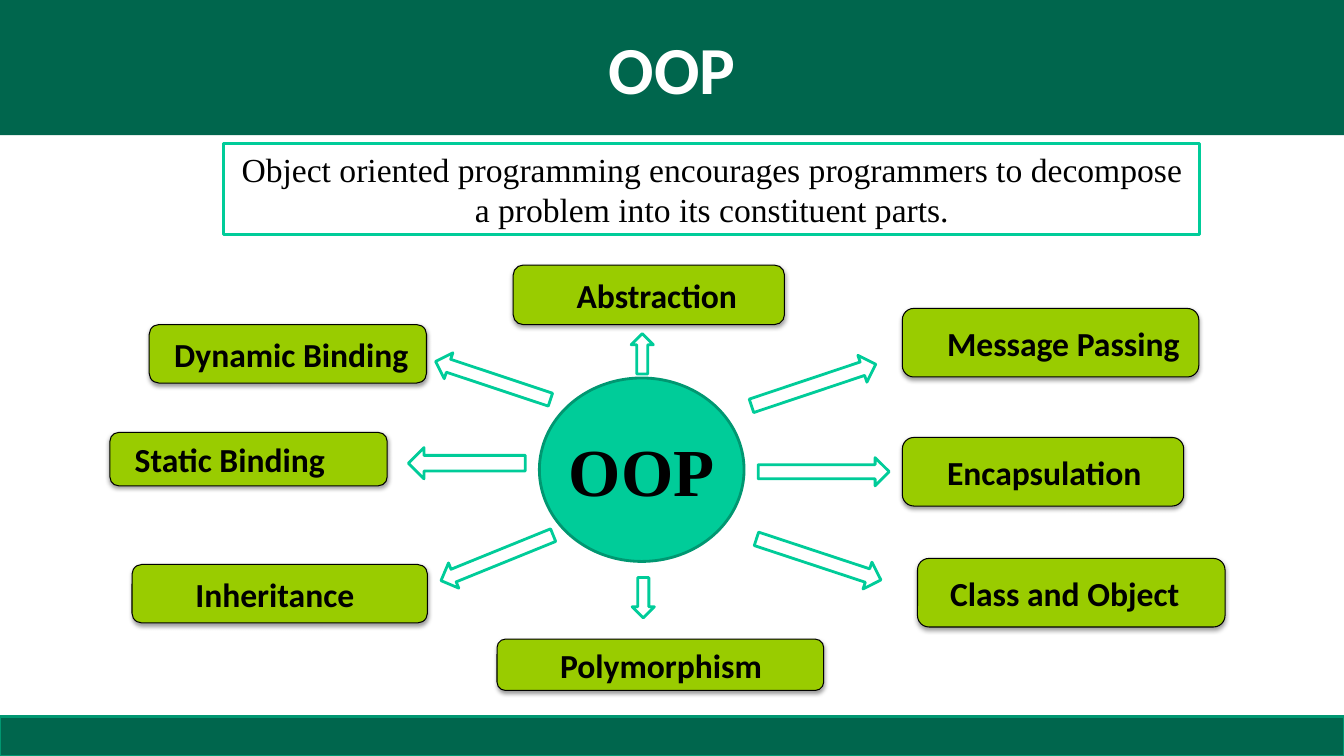
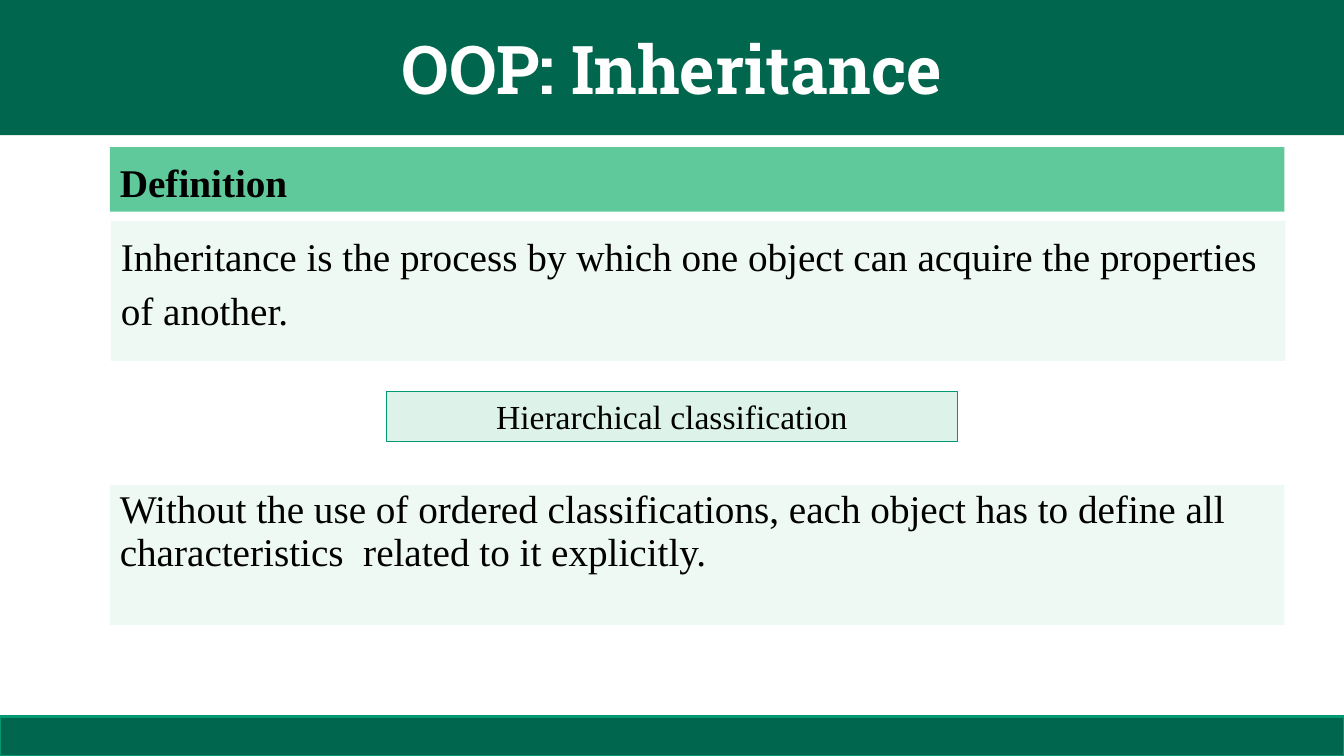
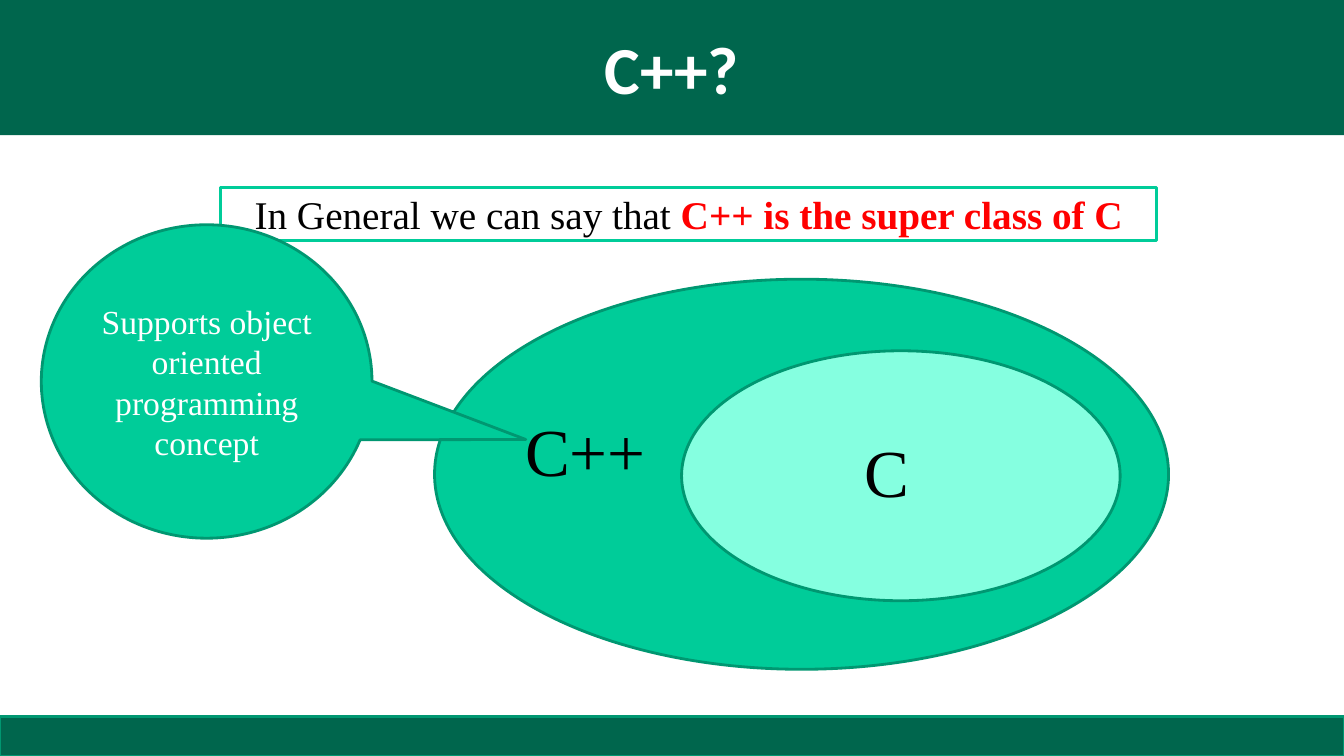
"""Build three slides on object oriented programming and C++."""
from lxml.etree import SubElement as Sub
from pptx import Presentation
from pptx.dml.color import RGBColor
from pptx.enum.shapes import MSO_SHAPE as Kind
from pptx.enum.text import MSO_ANCHOR as Anchor, MSO_AUTO_SIZE as Fit, PP_ALIGN as Align
from pptx.oxml.ns import qn
from pptx.util import Inches, Pt

SERIF, SANS, SLAB = "Times New Roman", "Calibri", "Roboto Slab"
DARK, EDGE, MINT, PALE = "00664D", "009771", "00CC99", "85FFE0"
LIME, HEAD, BODY, NOTE = "99CC00", "60C99C", "EEF9F4", "DDF3EA"
WHITE, BLACK, RED = "FFFFFF", "000000", "FF0000"

TITLES = [("OOP", SANS), ("OOP: Inheritance", SLAB), ("C++?", SANS)]
BAND = (0, 0, 13.33, 1.34)
FOOT = (0, 7.11, 13.33, 0.39)

INTRO = ("Object oriented programming encourages programmers to decompose "
         "a problem into its constituent parts.")
TOPICS = [
    ("Encapsulation", (8.95, 4.34, 2.79, 0.68), 0.31),
    ("Abstraction", (5.09, 2.63, 2.69, 0.59), 0.5),
    ("Polymorphism", (4.93, 6.34, 3.24, 0.51), 0.5),
    ("Inheritance", (1.31, 5.6, 2.93, 0.58), 0.5),
    ("Class and Object", (9.1, 5.54, 3.05, 0.68), 0.19),
    ("Dynamic Binding", (1.48, 3.22, 2.75, 0.58), 0.12),
    ("Message Passing", (8.95, 3.06, 2.94, 0.68), 0.31),
    ("Static Binding", (1.09, 4.29, 2.75, 0.53), 0.12),
]
ARROWS = [
    ((7.52, 4.54, 1.3, 0.28), 0),
    ((6.17, 3.4, 0.4, 0.22), 270),
    ((4.33, 5.4, 1.2, 0.27), 157.9),
    ((6.18, 5.82, 0.4, 0.22), 90),
    ((7.47, 5.41, 1.3, 0.28), 18.3),
    ((4.29, 3.64, 1.2, 0.27), 198.4),
    ((7.42, 3.68, 1.3, 0.28), 341.5),
    ((4.05, 4.44, 1.16, 0.31), 180),
]

PANELS = [
    ("Definition", (1.09, 1.46, 11.65, 0.64), HEAD, None,
     {"size": 28, "bold": True},
     {"line_spacing": 1.14, "space_before": Pt(10)}),
    ("Inheritance is the process by which one object can acquire "
     "the properties of another.",
     (1.1, 2.19, 11.65, 1.39), BODY, None,
     {"size": 28}, {"line_spacing": 1.14}),
    ("Hierarchical classification", (3.83, 3.88, 5.67, 0.5), NOTE,
     ("009973", 0.75), {"size": 24},
     {"alignment": Align.CENTER, "space_after": Pt(6)}),
    ("Without the use of ordered classifications, each object has to "
     "define all characteristics  related to it explicitly.",
     (1.09, 4.81, 11.65, 1.39), BODY, None,
     {"size": 28}, {"line_spacing": 0.9, "space_before": Pt(10)}),
]

CLAIM = [("In General we can say that ", {}),
         ("C++ is the super class of C", {"color": RED, "bold": True})]
SETS = [
    ("C++", (4.31, 2.77, 7.28, 3.87), MINT, (5.11, 4.01, 1.66, 0.91), Align.LEFT),
    ("C", (6.76, 3.48, 4.35, 2.48), PALE, (8.3, 4.22, 0.99, 0.91), Align.CENTER),
]
BUBBLE = "Supports object oriented programming concept"


def rgb(code):
    """Turn a hex string into a colour."""
    return RGBColor.from_string(code)


def apply(item, looks):
    """Set each attribute named in a dict."""
    for name, value in looks.items():
        setattr(item, name, value)


def paint(shape, fill, line=None):
    """Give a shape its fill and its outline."""
    shape.fill.solid()
    shape.fill.fore_color.rgb = rgb(fill)
    if line:
        shape.line.color.rgb = rgb(line[0])
        shape.line.width = Pt(line[1])
    else:
        shape.line.fill.background()


def draw(slide, kind, box, fill, line=None):
    """Add a flat preset shape."""
    shape = slide.shapes.add_shape(kind, *map(Inches, box))
    shape.shadow.inherit = False
    paint(shape, fill, line)
    return shape


def write(shape, runs, look, para=None, frame=None):
    """Fill a shape with one paragraph of styled runs."""
    text = shape.text_frame
    apply(text, {"word_wrap": True, "auto_size": Fit.NONE,
                 "vertical_anchor": Anchor.MIDDLE, **(frame or {})})
    line = text.paragraphs[0]
    apply(line, {"alignment": Align.CENTER, **(para or {})})
    for words, extra in [(runs, {})] if isinstance(runs, str) else runs:
        run = line.add_run()
        run.text = words
        font = {"name": SERIF, "color": BLACK, "bold": False, **look, **extra}
        run.font.color.rgb = rgb(font.pop("color"))
        font["size"] = Pt(font["size"])
        apply(run.font, font)


def shade(shape):
    """Add a soft shadow below a shape."""
    effects = shape.element.spPr.find(qn("a:effectLst"))
    outer = Sub(effects, qn("a:outerShdw"), blurRad="40000", dist="20000",
                dir="5400000", rotWithShape="0")
    color = Sub(outer, qn("a:srgbClr"), val=BLACK)
    Sub(color, qn("a:alpha"), val="38000")


def start(deck, title, font):
    """Add a slide with its title band and foot band."""
    slide = deck.slides.add_slide(deck.slide_layouts[5])
    head = slide.shapes.title
    apply(head, dict(zip(("left", "top", "width", "height"), map(Inches, BAND))))
    paint(head, DARK)
    write(head, title, {"size": 48, "name": font, "color": WHITE, "bold": True})
    draw(slide, Kind.RECTANGLE, FOOT, DARK, (EDGE, 2))
    return slide


def wheel(slide):
    """Draw the hub with its topics and arrows."""
    intro = draw(slide, Kind.RECTANGLE, (2.22, 1.42, 9.68, 0.91), WHITE, (MINT, 2))
    write(intro, INTRO, {"size": 24})
    hub = draw(slide, Kind.OVAL, (5.35, 3.75, 2.03, 1.82), MINT, (EDGE, 2))
    write(hub, "OOP", {"size": 48, "bold": True}, frame={"word_wrap": False})
    for name, box, indent in TOPICS:
        topic = draw(slide, Kind.ROUNDED_RECTANGLE, box, LIME, (BLACK, 0.75))
        shade(topic)
        write(topic, name, {"size": 24, "name": SANS, "bold": True},
              {"alignment": Align.LEFT}, {"margin_left": Inches(0.1 + indent)})
    for box, angle in ARROWS:
        draw(slide, Kind.RIGHT_ARROW, box, WHITE, (MINT, 2)).rotation = angle


def panels(slide):
    """Draw the stacked text panels."""
    for words, box, fill, line, look, para in PANELS:
        panel = draw(slide, Kind.RECTANGLE, box, fill, line)
        write(panel, words, look, {"alignment": Align.LEFT, **para},
              {"vertical_anchor": Anchor.TOP})


def nest(slide):
    """Draw the nested sets and the callout."""
    claim = draw(slide, Kind.RECTANGLE, (2.19, 1.86, 9.28, 0.53), WHITE, (MINT, 2))
    write(claim, CLAIM, {"size": 28})
    for name, oval, fill, box, align in SETS:
        draw(slide, Kind.OVAL, oval, fill, (EDGE, 2))
        label = slide.shapes.add_textbox(*map(Inches, box))
        write(label, name, {"size": 48}, {"alignment": align},
              {"vertical_anchor": Anchor.TOP})
    bubble = draw(slide, Kind.OVAL_CALLOUT, (0.41, 2.23, 3.28, 3.11), MINT, (EDGE, 2))
    bubble.adjustments[0], bubble.adjustments[1] = 0.965, 0.185
    write(bubble, BUBBLE, {"size": 24, "color": WHITE})


def main():
    """Build and save the deck."""
    deck = Presentation()
    deck.slide_width, deck.slide_height = Inches(13.33), Inches(7.5)
    for (title, font), fill in zip(TITLES, (wheel, panels, nest)):
        fill(start(deck, title, font))
    deck.save("out.pptx")


if __name__ == "__main__":
    main()
